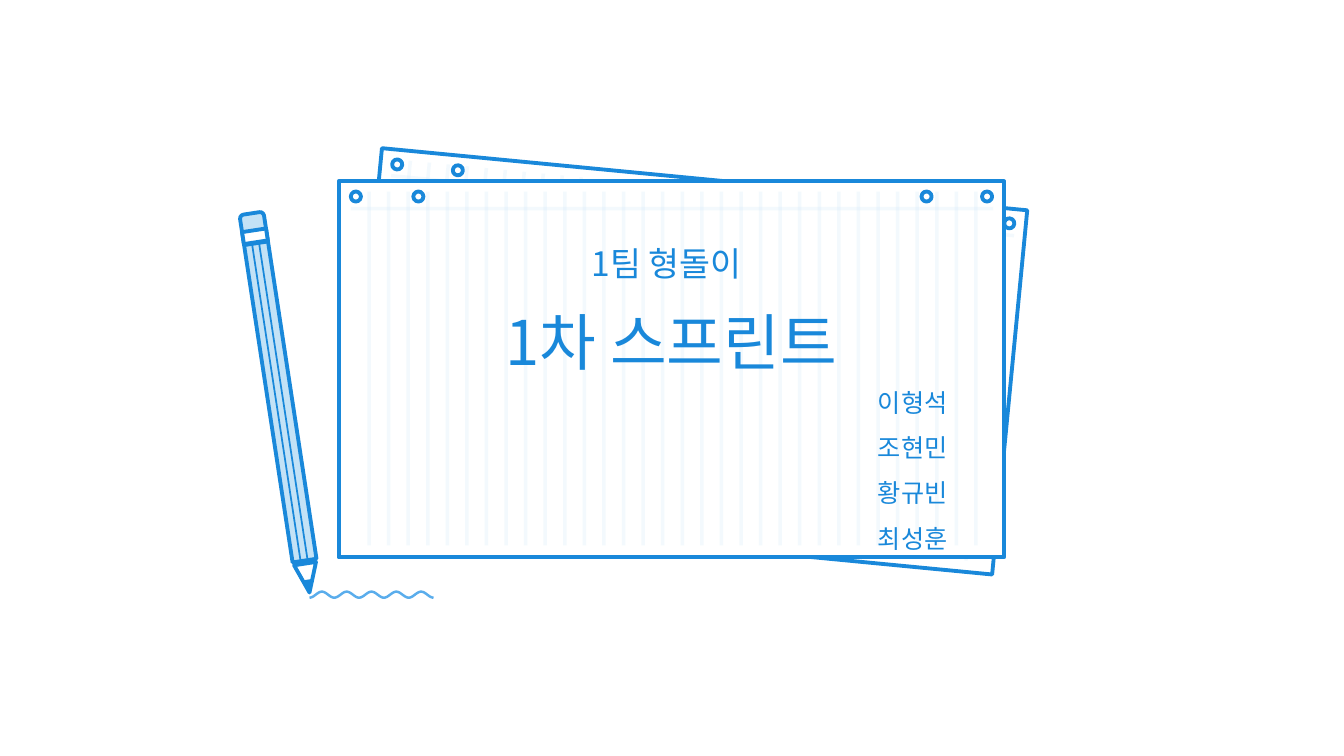
import math
from dataclasses import dataclass

import pptx
import pptx.util
import pptx.dml.color
import pptx.enum.shapes
import pptx.enum.text
import pptx.oxml
import pptx.oxml.ns
import lxml.etree

Inches = pptx.util.Inches
Pt = pptx.util.Pt
Kind = pptx.enum.shapes.MSO_SHAPE
Align = pptx.enum.text.PP_ALIGN
qn = pptx.oxml.ns.qn


@dataclass(frozen=True)
class Theme:
    ink: str = "1988DA"
    wave: str = "5AADEC"
    wood: str = "C3E2F6"
    rule: str = "D2E9FA"
    paper: str = "FFFFFF"
    font: str = "Noto Sans CJK KR"
    title: int = 44
    team: int = 24
    names: int = 18
    edge: float = 2.75
    ruled: float = 2.5
    curl: float = 1.75
    groove: float = 1.25


theme = Theme()


def rgb(code):
    return pptx.dml.color.RGBColor.from_string(code)


def apply(thing, style):
    for name, value in style.items():
        setattr(thing, name, value)


def pivot(mid, turn):
    """Return a function that turns an offset from mid into a slide point."""
    cos, sin = math.cos(math.radians(turn)), math.sin(math.radians(turn))
    return lambda x, y: (mid[0] + x * cos - y * sin, mid[1] + x * sin + y * cos)


def block(group, kind, mid, size, fill, turn=0):
    left, top = mid[0] - size[0] / 2, mid[1] - size[1] / 2
    shape = group.shapes.add_shape(kind, *map(Inches, (left, top, *size)))
    shape.shadow.inherit = False
    shape.rotation = turn % 360
    shape.fill.solid()
    shape.fill.fore_color.rgb = rgb(fill)
    shape.line.color.rgb = rgb(theme.ink)
    shape.line.width = Pt(theme.edge)
    return shape


def stroke(group, start, end, color, width, alpha=None):
    line = group.shapes.add_connector(
        pptx.enum.shapes.MSO_CONNECTOR.STRAIGHT, *map(Inches, (*start, *end)))
    line.line.color.rgb = rgb(color)
    line.line.width = Pt(width)
    props = line._element.spPr
    if alpha:
        tint = props.find(".//" + qn("a:srgbClr"))
        lxml.etree.SubElement(tint, qn("a:alpha")).set("val", str(alpha * 1000))
    lxml.etree.SubElement(props, qn("a:effectLst"))


def sheet(slide, box, holes, rules, turn=0):
    """Draw ruled paper; its inner lengths scale with the box width."""
    left, top, wide, high = box
    unit = wide / 6.6
    mid = left + wide / 2, top + high / 2
    spin = pivot(mid, turn)

    def spot(x, y):
        return spin(x * unit - wide / 2, y * unit - high / 2)

    group = slide.shapes.add_group_shape()
    block(group, Kind.RECTANGLE, mid, (wide, high), theme.paper, turn)
    for x in holes:
        block(group, Kind.OVAL, spot(x, 0.15), (0.1, 0.1), theme.paper, turn)
    ends = [((0.12, 0.27), (6.49, 0.27))]
    for step in rules:
        x = 0.3 + step * 6.02 / 31
        ends.append(((x, 0.1), (x, 3.61)))
    for start, end in ends:
        stroke(group, spot(*start), spot(*end), theme.rule, theme.ruled, 25)


def pencil(slide, box, turn):
    """Draw the pencil around its body box, then the wave under its tip."""
    left, top, wide, high = box
    mid = left + wide / 2, top + high / 2
    spot = pivot(mid, turn)
    group = slide.shapes.add_group_shape()
    block(group, Kind.RECTANGLE, mid, (wide, high), theme.wood, turn)
    for x in (-0.04, 0.03):
        stroke(group, spot(x, -high / 2), spot(x, high / 2), theme.ink, theme.groove)
    tips = ((1.77, (0.22, 0.29), theme.paper), (1.84, (0.06, 0.07), theme.ink))
    for y, size, fill in tips:
        block(group, Kind.ISOSCELES_TRIANGLE, spot(0, y), size, fill, turn + 180)
    block(group, Kind.ROUND_2_SAME_RECTANGLE, spot(0, -1.74), (wide, 0.3), theme.wood, turn)
    block(group, Kind.RECTANGLE, spot(0, -1.66), (wide, 0.12), theme.paper, turn)
    wave(group, (left + 0.41, top + 3.48, 1.23, 0.06))


def wave(group, box):
    left, top, wide, high = box
    count, turns = 120, 5
    points = []
    for step in range(count + 1):
        part = step / count
        y = top + high / 2 * (1 + math.cos(2 * math.pi * turns * part))
        points.append((Inches(left + wide * part), Inches(y)))
    path = group.shapes.build_freeform(*points[0])
    path.add_line_segments(points[1:], close=False)
    shape = path.convert_to_shape()
    shape.shadow.inherit = False
    shape.fill.background()
    shape.line.color.rgb = rgb(theme.wave)
    shape.line.width = Pt(theme.curl)


def label(slide, box, lines, size, wrap=False, **style):
    shape = slide.shapes.add_textbox(*map(Inches, box))
    frame = shape.text_frame
    apply(frame, {"word_wrap": wrap,
                  "auto_size": pptx.enum.text.MSO_AUTO_SIZE.SHAPE_TO_FIT_TEXT})
    frame.text = "\n".join(lines)
    for para in frame.paragraphs:
        apply(para, style)
        run = para.runs[0]
        run.font.color.rgb = rgb(theme.ink)
        apply(run.font, {"size": Pt(size), "name": theme.font})
        east = lxml.etree.SubElement(run._r.get_or_add_rPr(), qn("a:ea"))
        east.set("typeface", theme.font)


def cover(slide, box):
    left, top, wide, high = box
    sheet(slide, (left + 0.24, top - 0.03, 6.43, 3.63),
          (0.17, 0.79, 6.43), (*range(12), 29, 30, 31), 5.5)
    sheet(slide, box, (0.17, 0.79, 6.43, 5.83), range(32))
    pencil(slide, (left - 0.7, top + 0.59, 0.24, 3.19), -8.7)
    label(slide, (left, top + 1.17, wide, 0.84), ["1차 스프린트"],
          theme.title, wrap=True, alignment=Align.CENTER)
    label(slide, (left + 2.41, top + 0.56, 1.85, 0.5), ["1팀 형돌이"], theme.team)
    label(slide, (left + 5.25, top + 1.84, 0.96, 1.86),
          ["이형석", "조현민", "황규빈", "최성훈"], theme.names, line_spacing=1.5)


def main():
    deck = pptx.Presentation()
    apply(deck, {"slide_width": Inches(13.33), "slide_height": Inches(7.5)})
    cover(deck.slides.add_slide(deck.slide_layouts[6]), (3.36, 1.8, 6.6, 3.73))
    deck.save("out.pptx")


if __name__ == "__main__":
    main()
